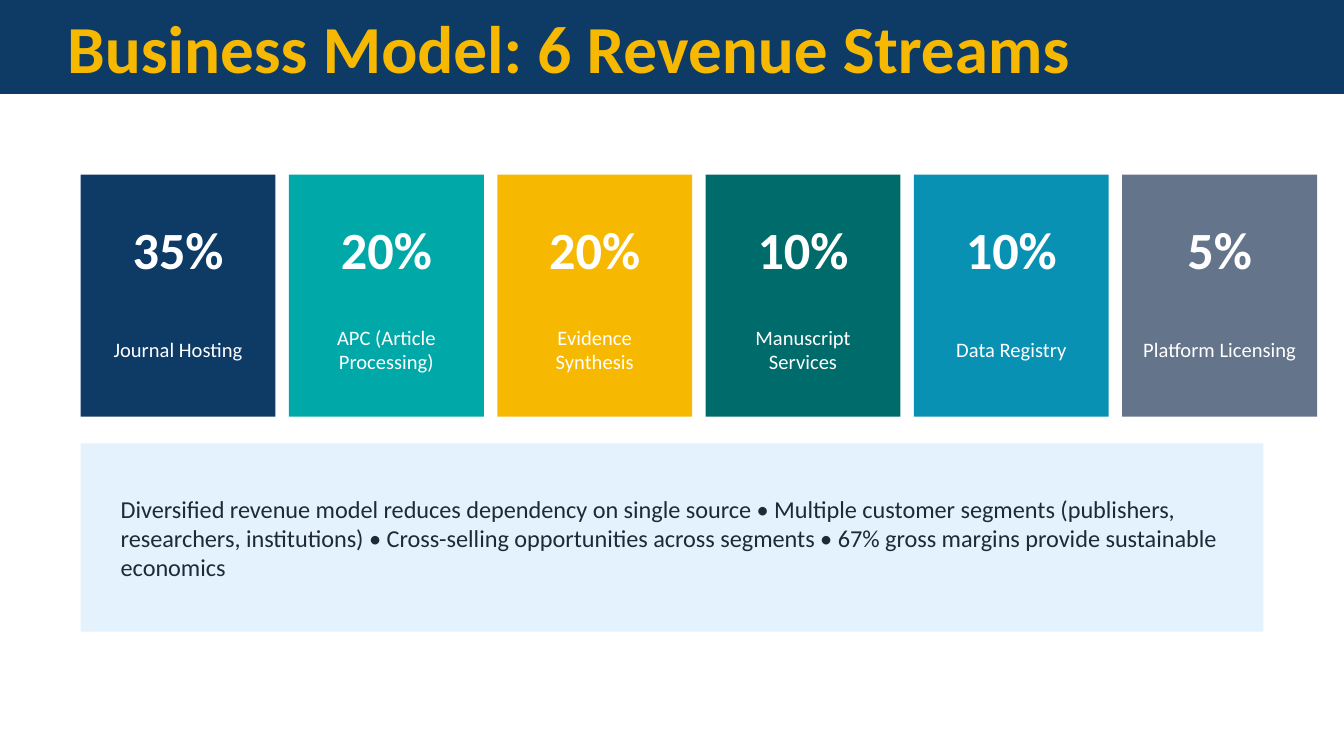
from pptx import Presentation
from pptx.dml.color import RGBColor
from pptx.enum.shapes import MSO_SHAPE
from pptx.enum.text import MSO_ANCHOR, MSO_AUTO_SIZE, PP_ALIGN
from pptx.util import Inches, Pt

NAVY, GOLD, WHITE = "0D3B66", "F7B801", "FFFFFF"

prs = Presentation()
prs.slide_width, prs.slide_height = Inches(10), Inches(10 * 9 / 16)
slide = prs.slides.add_slide(prs.slide_layouts[5])


def add_panel(left, top, width, height, color):
    panel = slide.shapes.add_shape(
        MSO_SHAPE.RECTANGLE, Inches(left), Inches(top), Inches(width), Inches(height))
    panel.shadow.inherit = False
    panel.fill.solid()
    panel.fill.fore_color.rgb = RGBColor.from_string(color)
    panel.line.fill.background()
    return panel


def write_text(box, text, size, color, bold=False, align=PP_ALIGN.CENTER):
    frame = box.text_frame
    frame.word_wrap = True
    frame.auto_size = MSO_AUTO_SIZE.NONE
    frame.vertical_anchor = MSO_ANCHOR.MIDDLE
    paragraph = frame.paragraphs[0]
    paragraph.alignment = align
    run = paragraph.add_run()
    run.text = text
    run.font.name, run.font.size, run.font.bold = "Calibri", Pt(size), bold
    run.font.color.rgb = RGBColor.from_string(color)


header = add_panel(0, 0, 10, 0.7, NAVY)
title = slide.shapes.title
header._element.addnext(title._element)
title.left, title.top, title.width, title.height = map(Inches, (0.5, 0.1, 9, 0.5))
frame = title.text_frame
frame.margin_left = frame.margin_right = frame.margin_top = frame.margin_bottom = 0
write_text(title, "Business Model: 6 Revenue Streams", 36, GOLD, True, PP_ALIGN.LEFT)

streams = [
    ("35%", "Journal Hosting", NAVY),
    ("20%", "APC (Article Processing)", "00A8A8"),
    ("20%", "Evidence Synthesis", GOLD),
    ("10%", "Manuscript Services", "006B6B"),
    ("10%", "Data Registry", "0891B2"),
    ("5%", "Platform Licensing", "64748B"),
]
margin, card_width, gap, inset = 0.6, 1.45, 0.1, 0.05
for column, (share, name, color) in enumerate(streams):
    left = margin + column * (card_width + gap)
    add_panel(left, 1.3, card_width, 1.8, color)
    share_box = slide.shapes.add_textbox(
        Inches(left), Inches(1.6), Inches(card_width), Inches(0.5))
    write_text(share_box, share, 28, WHITE, True)
    name_box = slide.shapes.add_textbox(
        Inches(left + inset), Inches(2.2), Inches(card_width - 2 * inset), Inches(0.8))
    write_text(name_box, name, 11, WHITE)

add_panel(margin, 3.3, 10 - 2 * margin, 1.4, "E3F2FD")
summary = slide.shapes.add_textbox(Inches(0.8), Inches(3.5), Inches(8.4), Inches(1))
points = [
    "Diversified revenue model reduces dependency on single source",
    "Multiple customer segments (publishers, researchers, institutions)",
    "Cross-selling opportunities across segments",
    "67% gross margins provide sustainable economics",
]
write_text(summary, " • ".join(points), 13, "1F2937", align=PP_ALIGN.LEFT)

prs.save("out.pptx")
